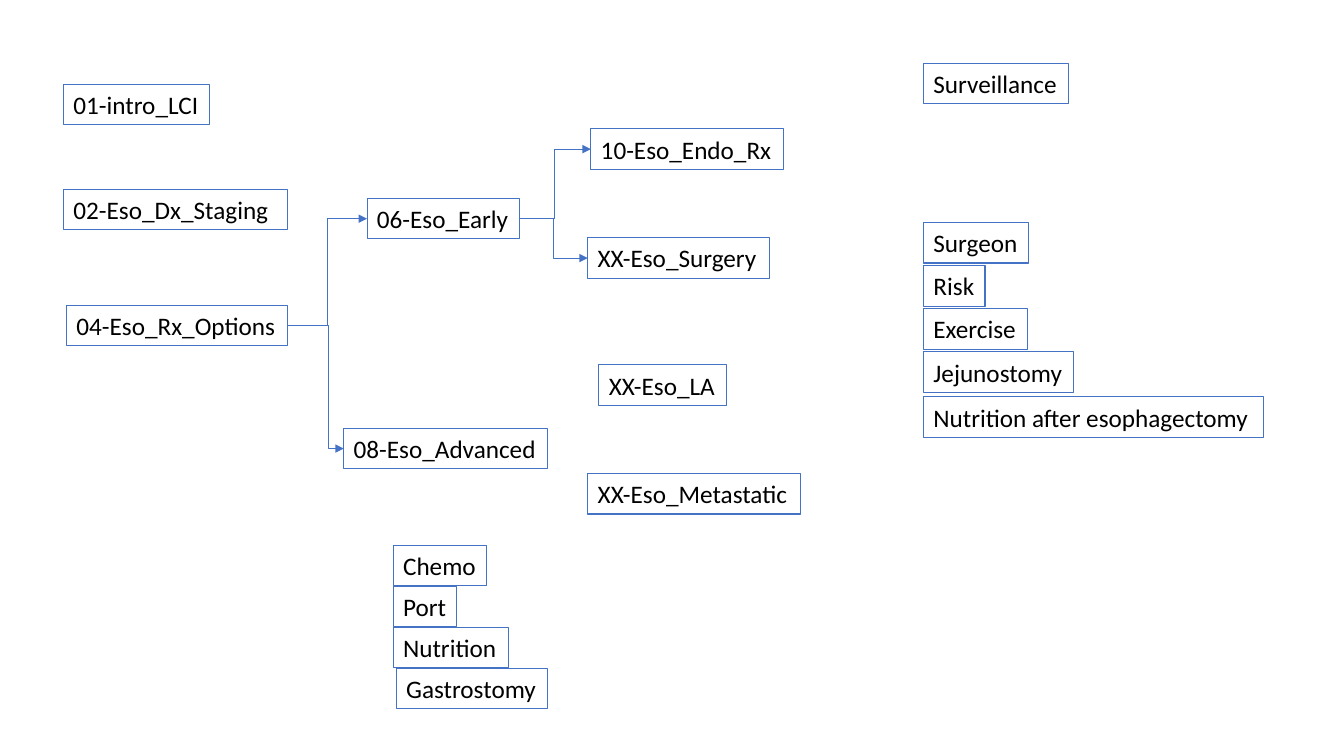
from lxml.etree import SubElement
from pptx import Presentation
from pptx.dml.color import RGBColor
from pptx.enum.shapes import MSO_CONNECTOR
from pptx.enum.text import MSO_AUTO_SIZE
from pptx.oxml.ns import qn
from pptx.util import Inches, Pt

BLUE = RGBColor(0x44, 0x72, 0xC4)
BLACK = RGBColor(0, 0, 0)
TOPIC_HEIGHT = 0.4
LEFT_SIDE, RIGHT_SIDE = 1, 3  # connection sites of a rectangle


def add_topic(slide, label, left, top, width):
    topic = slide.shapes.add_textbox(
        Inches(left), Inches(top), Inches(width), Inches(TOPIC_HEIGHT))
    topic.line.color.rgb = BLUE
    topic.line.width = Pt(0.75)
    frame = topic.text_frame
    frame.word_wrap = False
    frame.auto_size = MSO_AUTO_SIZE.SHAPE_TO_FIT_TEXT
    run = frame.paragraphs[0].add_run()
    run.text = label
    run.font.name = "Calibri"
    run.font.size = Pt(18)
    run.font.color.rgb = BLACK
    return topic


def add_branch(slide, source, target, bend=0.5):
    """Elbow arrow that turns at the given share of its width."""
    branch = slide.shapes.add_connector(MSO_CONNECTOR.ELBOW, 0, 0, 0, 0)
    branch.begin_connect(source, RIGHT_SIDE)
    branch.end_connect(target, LEFT_SIDE)
    branch.line.color.rgb = BLUE
    branch.line.width = Pt(0.5)
    properties = branch.element.spPr
    SubElement(properties.find(qn("a:prstGeom")).get_or_add_avLst(), qn("a:gd"),
               name="adj1", fmla=f"val {round(bend * 100000)}")
    SubElement(properties.find(qn("a:ln")), qn("a:tailEnd"), type="triangle")
    SubElement(properties, qn("a:effectLst"))


def add_pathway(slide, left, top):
    """Decision tree from introduction to treatment."""
    topics = [  # label, offset right, offset down, width
        ("01-intro_LCI", 0, 0, 1.45),
        ("02-Eso_Dx_Staging", 0, 1.04, 2.22),
        ("04-Eso_Rx_Options", 0.03, 2.19, 2.19),
        ("06-Eso_Early", 3.01, 1.13, 1.51),
        ("08-Eso_Advanced", 2.78, 3.41, 2.02),
        ("10-Eso_Endo_Rx", 5.23, 0.44, 1.91),
        ("XX-Eso_Surgery", 5.2, 1.52, 1.8),
        ("XX-Eso_LA", 5.31, 2.78, 1.27),
        ("XX-Eso_Metastatic", 5.2, 3.86, 2.11),
    ]
    _, _, options, early, advanced, endoscopy, surgery, _, _ = [
        add_topic(slide, label, left + right, top + down, width)
        for label, right, down, width in topics]
    add_branch(slide, options, advanced, 0.72)
    add_branch(slide, options, early)
    add_branch(slide, early, endoscopy, 0.49)
    add_branch(slide, early, surgery)


def add_stack(slide, left, top, pitch, topics):
    """Column of topics at an equal pitch, each with its own indent and lag."""
    for row, (label, width, indent, lag) in enumerate(topics):
        add_topic(slide, label, left + indent, top + row * pitch + lag, width)


prs = Presentation()
prs.slide_width, prs.slide_height = Inches(13.33), Inches(7.5)
slide = prs.slides.add_slide(prs.slide_layouts[6])

add_pathway(slide, 0.63, 0.84)

# Supportive care during chemotherapy
add_stack(slide, 3.9, 5.41, 0.407, [
    ("Chemo", 0.93, 0, 0),
    ("Port", 0.63, 0, 0),
    ("Nutrition", 1.14, 0, 0),
    ("Gastrostomy", 1.5, 0.03, 0),
])

# Surgical topics and follow-up
add_topic(slide, "Surveillance", 9.16, 0.63, 1.44)
add_stack(slide, 9.16, 2.21, 0.427, [
    ("Surgeon", 1.04, 0, 0),
    ("Risk", 0.61, 0, 0),
    ("Exercise", 1.03, 0, 0),
    ("Jejunostomy", 1.49, 0, 0),
    ("Nutrition after esophagectomy", 3.37, 0, 0.02),
])

prs.save("out.pptx")
